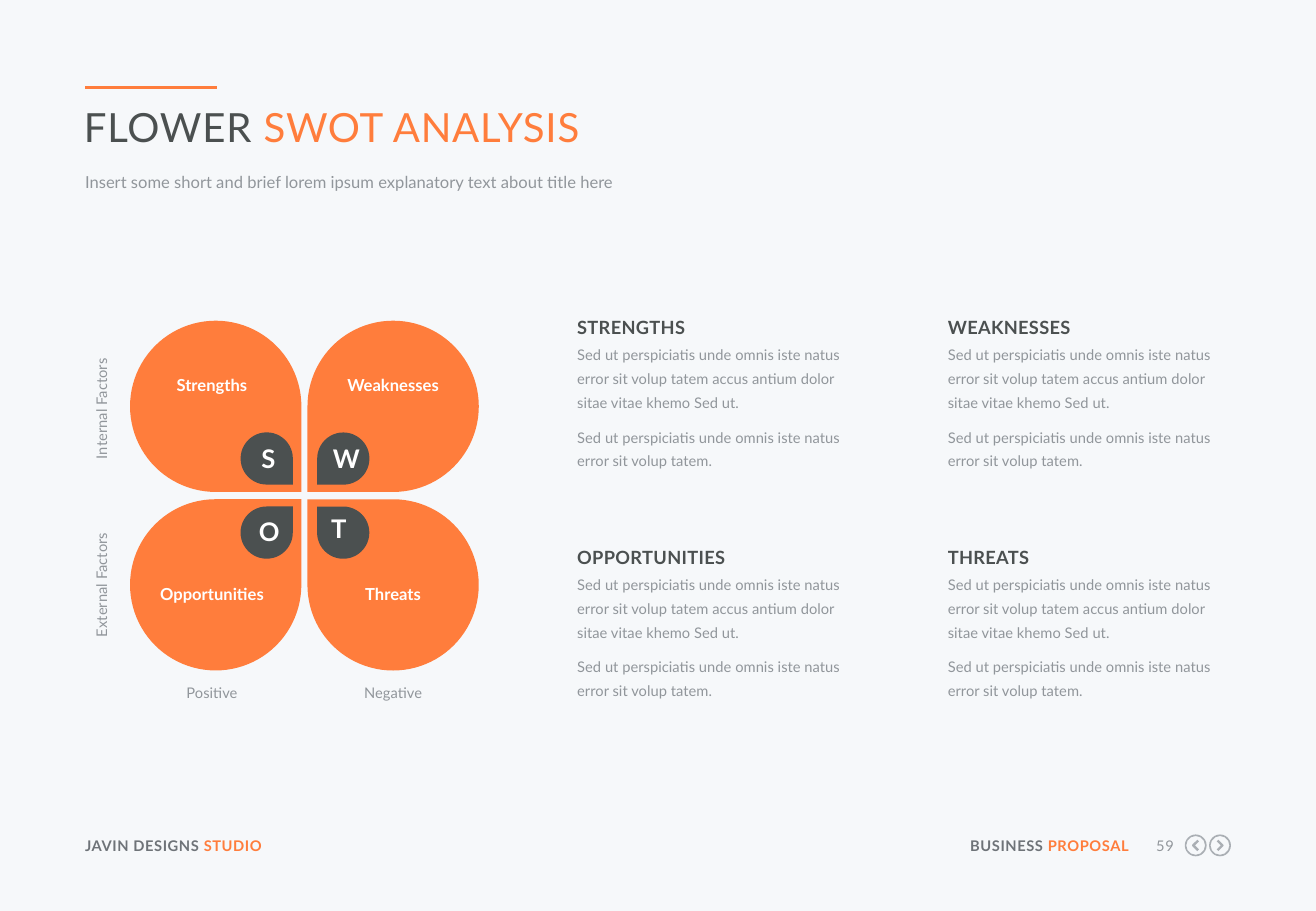
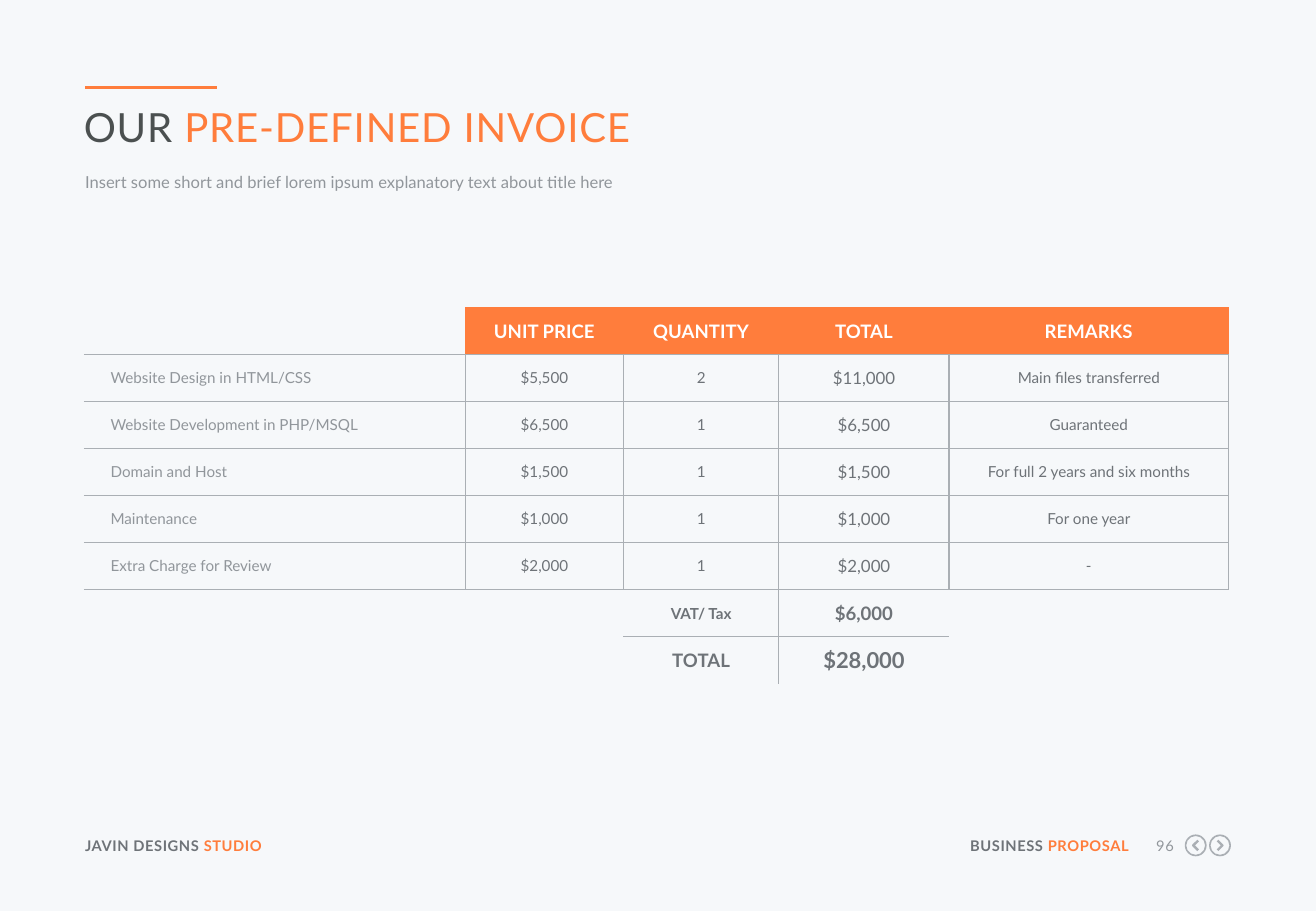
from dataclasses import dataclass, replace
from typing import Optional

from lxml.etree import SubElement
from pptx import Presentation
from pptx.dml.color import RGBColor
from pptx.enum.shapes import MSO_CONNECTOR, MSO_SHAPE as Preset
from pptx.enum.text import MSO_ANCHOR as Anchor, PP_ALIGN as Align
from pptx.oxml.ns import qn
from pptx.util import Pt

EMU_PER_PX = 9144


def px(length: int) -> int:
    return length * EMU_PER_PX


@dataclass(frozen=True)
class Style:
    size: float
    color: str
    bold: bool = False
    spacing: int = 0


@dataclass(frozen=True)
class Theme:
    font: str = "Lato"
    paper: str = "F6F8FA"
    accent: str = "FF7D3C"
    dark: str = "4B5050"
    steel: str = "6E7378"
    muted: str = "91969B"
    rule: str = "AAAFB4"
    white: str = "FFFFFF"
    title: Style = Style(23.8, dark, spacing=50)
    subtitle: Style = Style(9.8, muted)
    heading: Style = Style(10.8, dark, True, 20)
    body: Style = Style(8.7, muted)
    footer: Style = Style(8.7, steel, True, 30)
    number: Style = Style(8.7, muted, spacing=30)
    petal: Style = Style(9.8, white, True)
    letter: Style = Style(15.2, white, True)
    column_head: Style = Style(11, white, True)
    item: Style = Style(9, muted)
    detail: Style = Style(9, steel)
    amount: Style = Style(10, steel)
    tax_label: Style = Style(9, steel, True)
    tax: Style = Style(11, steel, True)
    grand_total: Style = Style(13, steel, True)


THEME = Theme()


@dataclass(frozen=True)
class Box:
    left: int
    top: int
    width: int
    height: int


@dataclass(frozen=True)
class Span:
    text: str
    style: Style


@dataclass(frozen=True)
class Factor:
    name: str
    letter: str
    column: int
    row: int
    rotation: int
    letter_left: int
    letter_top: int


@dataclass(frozen=True)
class TableRow:
    texts: tuple[str, ...]
    styles: tuple[Style, ...]
    sides: tuple[str, ...]


FACTORS = (
    Factor("Strengths", "S", 0, 0, 90, 213, 365),
    Factor("Weaknesses", "W", 1, 0, 180, 274, 365),
    Factor("Opportunities", "O", 0, 1, 0, 213, 425),
    Factor("Threats", "T", 1, 1, 270, 271, 422),
)
FACTOR_TEXT = (
    "Sed ut perspiciatis unde omnis iste natus error sit volup tatem "
    "accus antium dolor sitae vitae khemo Sed ut.",
    "Sed ut perspiciatis unde omnis iste natus error sit volup tatem.",
)
ITEMS = (
    ("Website Design in HTML/CSS", "$5,500", "2", "$11,000", "Main files transferred"),
    ("Website Development in PHP/MSQL", "$6,500", "1", "$6,500", "Guaranteed"),
    ("Domain and Host", "$1,500", "1", "$1,500", "For full 2 years and six months"),
    ("Maintenance", "$1,000", "1", "$1,000", "For one year"),
    ("Extra Charge for Review", "$2,000", "1", "$2,000", "-"),
)
ITEM_STYLES = (THEME.item, THEME.detail, THEME.detail, THEME.amount, THEME.detail)
INVOICE = (
    TableRow(("", "UNIT PRICE", "QUANTITY", "TOTAL", "REMARKS"),
             (THEME.column_head,) * 5, ("rb", "lrb", "lrb", "lrb", "lb")),
    *(TableRow(item, ITEM_STYLES, ("rtb",) + ("lrtb",) * 4) for item in ITEMS),
    TableRow(("", "", "VAT/ Tax", "$6,000", ""),
             (THEME.detail, THEME.detail, THEME.tax_label, THEME.tax, THEME.detail),
             ("t", "t", "rtb", "ltb", "t")),
    TableRow(("", "", "TOTAL", "$28,000", ""),
             (THEME.detail, THEME.detail, THEME.tax, THEME.grand_total, THEME.detail),
             ("", "", "rt", "lt", "")),
)
COLUMN_WIDTHS = (314, 130, 128, 140, 230)


def rgb(color: str) -> RGBColor:
    return RGBColor.from_string(color)


def format_run(run, style: Style) -> None:
    run.font.name = THEME.font
    run.font.size = Pt(style.size)
    run.font.bold = style.bold
    run.font.color.rgb = rgb(style.color)
    if style.spacing:
        run._r.get_or_add_rPr().set("spc", str(style.spacing))


def add_text(page, box: Box, *paragraphs: tuple[Span, ...], align=Align.LEFT,
             leading: Optional[float] = None, after: float = 0, rotation: int = 0) -> None:
    shape = page.shapes.add_textbox(*map(px, (box.left, box.top, box.width, box.height)))
    shape.rotation = rotation
    frame = shape.text_frame
    frame.word_wrap = True
    frame.margin_left = frame.margin_right = frame.margin_top = frame.margin_bottom = 0
    for index, spans in enumerate(paragraphs):
        para = frame.add_paragraph() if index else frame.paragraphs[0]
        para.alignment = align
        if leading:
            para.line_spacing = Pt(leading)
        if after:
            para.space_after = Pt(after)
        for span in spans:
            run = para.add_run()
            run.text = span.text
            format_run(run, span.style)


def add_preset(page, preset, box: Box, color: str, rotation: int = 0):
    shape = page.shapes.add_shape(preset, *map(px, (box.left, box.top, box.width, box.height)))
    shape.shadow.inherit = False
    shape.fill.solid()
    shape.fill.fore_color.rgb = rgb(color)
    shape.line.fill.background()
    shape.rotation = rotation
    return shape


def two_tone(plain: str, accented: str, style: Style) -> tuple[Span, Span]:
    return Span(plain, style), Span(accented, replace(style, color=THEME.accent))


def add_nav_button(page, center_x: int, center_y: int, direction: int) -> None:
    ring = add_preset(page, Preset.DONUT, Box(center_x - 9, center_y - 9, 18, 18), THEME.rule)
    ring.adjustments[0] = 0.07
    points = [(center_x + direction * dx, center_y + dy) for dx, dy in ((-2, -4), (2, 0), (-2, 4))]
    builder = page.shapes.build_freeform(*points[0], scale=EMU_PER_PX)
    builder.add_line_segments(points[1:], close=False)
    chevron = builder.convert_to_shape()
    chevron.shadow.inherit = False
    chevron.fill.background()
    chevron.line.color.rgb = rgb(THEME.rule)
    chevron.line.width = Pt(1.4)


def add_page(deck, plain: str, accented: str, number: int):
    page = deck.slides.add_slide(deck.slide_layouts[6])
    page.background.fill.solid()
    page.background.fill.fore_color.rgb = rgb(THEME.paper)
    bar = page.shapes.add_connector(MSO_CONNECTOR.STRAIGHT, px(70), px(72), px(179), px(72))
    bar.line.color.rgb = rgb(THEME.accent)
    bar.line.width = Pt(2.25)
    SubElement(bar._element.spPr, qn("a:effectLst"))
    add_text(page, Box(70, 689, 211, 15), two_tone("JAVIN DESIGNS ", "STUDIO", THEME.footer))
    add_text(page, Box(792, 689, 137, 15), two_tone("BUSINESS ", "PROPOSAL", THEME.footer),
             align=Align.RIGHT)
    add_text(page, Box(941, 689, 25, 15), (Span(str(number), THEME.number),), align=Align.RIGHT)
    add_nav_button(page, 984, 696, -1)
    add_nav_button(page, 1004, 696, 1)
    add_text(page, Box(69, 84, 942, 41), two_tone(plain, accented, THEME.title))
    subtitle = "Insert some short and brief lorem ipsum explanatory text about title here"
    add_text(page, Box(70, 140, 942, 21), (Span(subtitle, THEME.subtitle),), leading=13)
    return page


def add_factor(page, factor: Factor) -> None:
    column, row = factor.column, factor.row
    add_preset(page, Preset.TEAR, Box(107 + 146 * column, 264 + 147 * row, 141, 141),
               THEME.accent, factor.rotation)
    add_preset(page, Preset.TEAR, Box(198 + 63 * column, 356 + 61 * row, 43, 43),
               THEME.dark, factor.rotation)
    add_text(page, Box(factor.letter_left, factor.letter_top, 16, 26),
             (Span(factor.letter, THEME.letter),), align=Align.CENTER)
    add_text(page, Box(126 + 149 * column, 309 + 172 * row, 97, 16),
             (Span(factor.name, THEME.petal),), align=Align.CENTER)
    left, top = 475 + 305 * column, 253 + 189 * row
    add_text(page, Box(left, top, 232, 25), (Span(factor.name.upper(), THEME.heading),),
             leading=18.4)
    add_text(page, Box(left, top + 27, 232, 108),
             *((Span(text, THEME.body),) for text in FACTOR_TEXT), leading=14.1, after=6.5)


def build_swot(deck) -> None:
    page = add_page(deck, "FLOWER ", "SWOT ANALYSIS", 59)
    for factor in FACTORS:
        add_factor(page, factor)
    for index, name in enumerate(("Positive", "Negative")):
        add_text(page, Box(126 + 149 * index, 563, 97, 15), (Span(name, THEME.body),),
                 align=Align.CENTER)
    for index, name in enumerate(("Internal Factors", "External Factors")):
        add_text(page, Box(35, 329 + 145 * index, 97, 15), (Span(name, THEME.body),),
                 align=Align.CENTER, rotation=270)


def set_borders(cell, sides: str, upright_color: str) -> None:
    properties = cell._tc.get_or_add_tcPr()
    for side in "lrtb":
        line = SubElement(properties, qn(f"a:ln{side.upper()}"), w=str(Pt(0.75)))
        if side in sides:
            fill = SubElement(line, qn("a:solidFill"))
            color = upright_color if side in "lr" else THEME.rule
            SubElement(fill, qn("a:srgbClr"), val=color)
        else:
            SubElement(line, qn("a:noFill"))


def fill_cell(cell, text: str, style: Style, sides: str, is_head: bool, is_item: bool) -> None:
    set_borders(cell, sides, THEME.accent if is_head else THEME.rule)
    if is_head and text:
        cell.fill.solid()
        cell.fill.fore_color.rgb = rgb(THEME.accent)
    else:
        cell.fill.background()
    cell.margin_left = px(22) if is_item else 0
    cell.margin_right = cell.margin_top = cell.margin_bottom = 0
    cell.vertical_anchor = Anchor.MIDDLE
    if text:
        para = cell.text_frame.paragraphs[0]
        para.text = text
        para.alignment = Align.LEFT if is_item else Align.CENTER
        format_run(para.runs[0], style)


def build_invoice(deck) -> None:
    page = add_page(deck, "OUR ", "PRE-DEFINED INVOICE", 96)
    table = page.shapes.add_table(len(INVOICE), len(COLUMN_WIDTHS), px(69), px(253),
                                  px(sum(COLUMN_WIDTHS)), px(310)).table
    table.first_row = table.horz_banding = False
    for column, width in zip(table.columns, COLUMN_WIDTHS):
        column.width = px(width)
    for row_index, row in enumerate(INVOICE):
        for column_index, (text, style, sides) in enumerate(zip(row.texts, row.styles, row.sides)):
            is_item = column_index == 0 and 0 < row_index <= len(ITEMS)
            fill_cell(table.cell(row_index, column_index), text, style, sides,
                      row_index == 0, is_item)
    table.cell(6, 0).merge(table.cell(7, 1))
    table.cell(6, 4).merge(table.cell(7, 4))


def main() -> None:
    deck = Presentation()
    deck.slide_width, deck.slide_height = px(1083), px(750)
    build_swot(deck)
    build_invoice(deck)
    deck.save("out.pptx")


if __name__ == "__main__":
    main()
